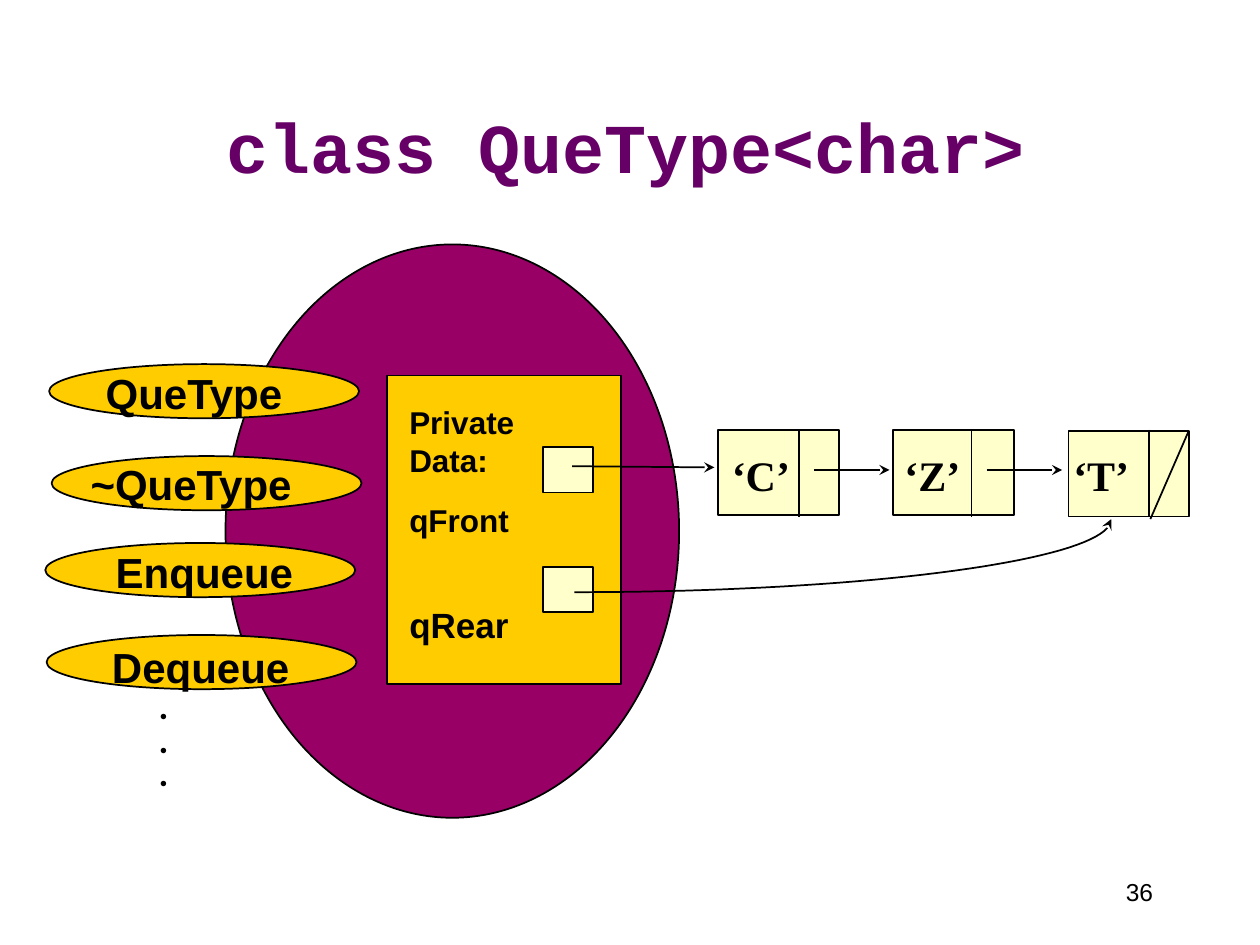
from dataclasses import dataclass

import pptx
import pptx.dml.color
import pptx.enum.shapes
import pptx.enum.text
import pptx.oxml.ns
import pptx.util
from lxml import etree

Inches = pptx.util.Inches
Pt = pptx.util.Pt
SHAPE = pptx.enum.shapes.MSO_SHAPE
ALIGN = pptx.enum.text.PP_ALIGN
ANCHOR = pptx.enum.text.MSO_ANCHOR
qn = pptx.oxml.ns.qn

BLACK, PURPLE, GOLD, CREAM = "000000", "990066", "FFCC00", "FFFFCC"


@dataclass
class Operation:
    name: str
    x: float
    y: float
    text_x: float
    text_y: float


@dataclass
class Node:
    value: str
    x: float
    y: float
    divider_x: float
    text_x: float


@dataclass
class Line:
    text: str
    size: float = 24
    font: str = "Arial"
    bold: bool = True
    color: str = BLACK
    before: float = 0
    indent: float = 0


OPERATIONS = [
    Operation("QueType", 0.39, 2.89, 0.74, 2.87),
    Operation("~QueType", 0.41, 3.62, 0.62, 3.59),
    Operation("Enqueue", 0.36, 4.31, 0.82, 4.29),
    Operation("Dequeue", 0.37, 5.04, 0.79, 5.04),
]
NODES = [
    Node("‘C’", 5.7, 3.41, 6.34, 5.71),
    Node("‘Z’", 7.09, 3.41, 7.71, 7.08),
    Node("‘T’", 8.48, 3.42, 9.12, 8.42),
]


def rgb(color: str) -> pptx.dml.color.RGBColor:
    return pptx.dml.color.RGBColor.from_string(color)


def add_box(s, kind, x: float, y: float, w: float, h: float, fill: str):
    sp = s.shapes.add_shape(kind, Inches(x), Inches(y), Inches(w), Inches(h))
    sp.shadow.inherit = False
    sp.fill.solid()
    sp.fill.fore_color.rgb = rgb(fill)
    style_line(sp)
    return sp


def style_line(sp, arrow: str = "") -> None:
    """Thin black line; arrow is "headEnd", "tailEnd" or empty."""
    sp.line.color.rgb = rgb(BLACK)
    sp.line.width = Pt(1)
    if arrow:
        etree.SubElement(sp.line._get_or_add_ln(), qn("a:" + arrow), type="stealth")


def add_line(s, x1: float, y1: float, x2: float, y2: float, arrow: str = "") -> None:
    c = s.shapes.add_connector(pptx.enum.shapes.MSO_CONNECTOR.STRAIGHT,
                               Inches(x1), Inches(y1), Inches(x2), Inches(y2))
    style_line(c, arrow)
    etree.SubElement(c._element.spPr, qn("a:effectLst"))


def add_text(s, x: float, y: float, w: float, h: float, lines: list[Line],
             align=ALIGN.LEFT, anchor=ANCHOR.TOP, wrap: bool = False) -> None:
    tf = s.shapes.add_textbox(Inches(x), Inches(y), Inches(w), Inches(h)).text_frame
    tf.word_wrap = wrap
    tf.vertical_anchor = anchor
    tf.text = "\n".join(line.text for line in lines)
    for p, line in zip(tf.paragraphs, lines):
        p.alignment = align
        p.space_before = Pt(line.before)
        if line.indent:
            p._p.get_or_add_pPr().set("marL", str(Inches(line.indent)))
        f = p.runs[0].font
        f.name, f.size, f.bold = line.font, Pt(line.size), line.bold
        f.color.rgb = rgb(line.color)


def add_curve(s, points: list[tuple[float, float]], steps: int = 40) -> None:
    """Cubic curve through its four control points, arrow at the start."""
    curve = []
    for i in range(steps + 1):
        t = i / steps
        weights = ((1 - t) ** 3, 3 * t * (1 - t) ** 2, 3 * t * t * (1 - t), t ** 3)
        curve.append(tuple(Inches(sum(w * pt[axis] for w, pt in zip(weights, points)))
                           for axis in (0, 1)))
    fb = s.shapes.build_freeform(*curve[0])
    fb.add_line_segments(curve[1:], close=False)
    sp = fb.convert_to_shape()
    sp.shadow.inherit = False
    sp.fill.background()
    style_line(sp, "headEnd")


def main() -> None:
    prs = pptx.Presentation()
    prs.slide_width, prs.slide_height = Inches(10), Inches(7.5)
    s = prs.slides.add_slide(prs.slide_layouts[6])

    # Title and slide number
    add_text(s, 0.67, 0.29, 8.58, 1.25,
             [Line("class QueType<char>", 40, "Courier New", color="660066")],
             ALIGN.CENTER, ANCHOR.BOTTOM, True)
    add_text(s, 8.58, 6.83, 0.67, 0.5, [Line("36", 14, bold=False)],
             ALIGN.RIGHT, ANCHOR.MIDDLE, True)

    # Class body and its public operations
    add_box(s, SHAPE.OVAL, 1.79, 1.94, 3.6, 4.55, PURPLE)
    for op in OPERATIONS:
        add_box(s, SHAPE.OVAL, op.x, op.y, 2.46, 0.43, GOLD)
    dots = [Line(".", 16, "Montserrat", indent=0.38)] * 3
    for op in OPERATIONS:
        more = dots if op is OPERATIONS[-1] else []
        add_text(s, op.text_x, op.text_y, 1.82, 1.3 if more else 0.5,
                 [Line(op.name)] + more)

    # Private data with its two pointers
    add_box(s, SHAPE.RECTANGLE, 3.07, 2.98, 1.86, 2.45, GOLD)
    for y in (3.55, 4.5):
        add_box(s, SHAPE.RECTANGLE, 4.31, y, 0.4, 0.36, CREAM)
    add_text(s, 3.15, 3.15, 1.5, 2.0,
             [Line("Private Data:", 18), Line("qFront", 18, before=13),
              Line("qRear", 20, before=37)], wrap=True)

    # Linked nodes
    for node in NODES:
        add_box(s, SHAPE.RECTANGLE, node.x, node.y, 0.96, 0.68, CREAM)
        add_line(s, node.divider_x, 3.41, node.divider_x, 4.1)
        add_text(s, node.text_x, 3.52, 0.83, 0.5,
                 [Line(node.value, font="Times New Roman")])
    add_line(s, 9.43, 3.43, 9.13, 4.12)

    # Pointers
    add_line(s, 4.54, 3.7, 5.67, 3.71, "tailEnd")
    for x in (6.46, 7.83):
        add_line(s, x, 3.73, x + 0.6, 3.73, "tailEnd")
    add_curve(s, [(8.82, 4.12), (8.82, 4.44), (6.91, 4.7), (4.56, 4.7)])

    prs.save("out.pptx")


if __name__ == "__main__":
    main()
